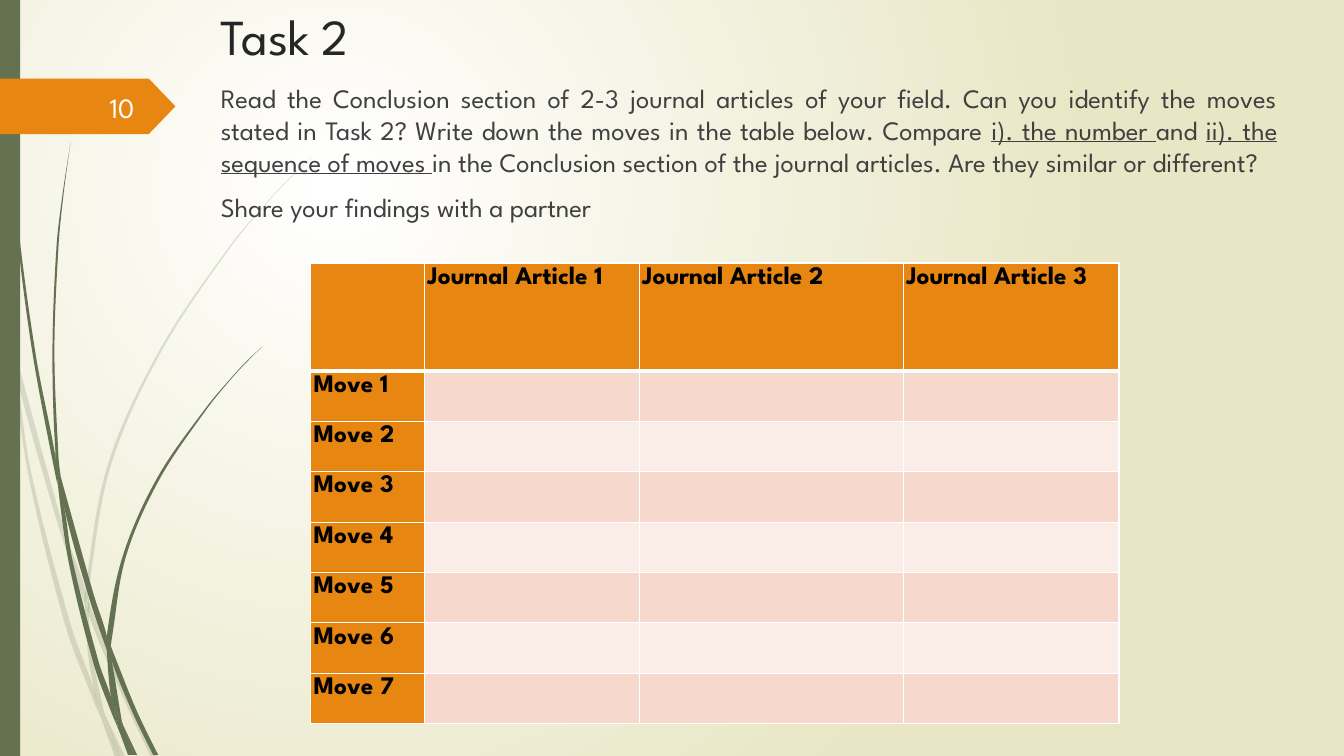
from lxml.etree import SubElement
from pptx import Presentation
from pptx.dml.color import RGBColor
from pptx.enum.shapes import MSO_SHAPE
from pptx.enum.text import MSO_ANCHOR, MSO_AUTO_SIZE, PP_ALIGN
from pptx.oxml import parse_xml
from pptx.oxml.ns import nsdecls, qn
from pptx.util import Inches, Pt

FONT = "League Spartan"
GREEN = RGBColor(0x64, 0x72, 0x52)
ORANGE = RGBColor(0xE7, 0x87, 0x12)
ROSE = RGBColor(0xF6, 0xD9, 0xCC)
BLUSH = RGBColor(0xFA, 0xED, 0xE7)
WHITE = RGBColor(0xFF, 0xFF, 0xFF)
CREAM = RGBColor(0xE8, 0xE6, 0xC4)
PAPER = RGBColor(0xFE, 0xFF, 0xFF)
BLACK = RGBColor(0, 0, 0)
INK = RGBColor(0x26, 0x26, 0x26)
GREY = RGBColor(0x40, 0x40, 0x40)

PALE = [
    (0.11, 3.5, 0.09, 3.22, 0, 2.82, 0, 2.99, 0.1, 3.44),
    (0.58, 5.22, 0.84, 5.99, 0.85, 5.86, 0.62, 5.2, 0.14, 3.45, 0.17, 3.76),
    (0.92, 6.07, 0.88, 5.96, 0.88, 6.1, 1.23, 6.94, 1.5, 7.51, 1.55, 7.51, 1.27, 6.92),
    (1.19, 7.51, 1.24, 7.51, 1.05, 7.11),
    (0.93, 6.83, 0.7, 6.19, 0.31, 4.69, 0.17, 3.76, 0.11, 3.5, 0.28, 4.7, 0.65, 6.21,
     0.92, 6.93, 1.01, 7.14, 0.99, 7.07),
    (0.84, 5.99, 0.87, 6.46, 0.93, 6.83, 0.96, 6.92, 1.05, 7.11, 1.03, 7.06, 0.91, 6.46,
     0.88, 6.1, 0.88, 6.08),
    (0.88, 5.84, 1.1, 4.62, 1.6, 3.49, 2.29, 2.45, 2.68, 1.98, 2.9, 1.75, 3.12, 1.53,
     2.89, 1.75, 2.68, 1.97, 2.28, 2.44, 1.58, 3.48, 1.07, 4.61, 0.85, 5.84, 0.88, 5.96),
    (1.01, 7.14, 1.14, 7.51, 1.19, 7.51),
    (0.88, 6.08, 0.88, 5.96, 0.85, 5.86, 0.84, 5.99),
    (0.96, 6.92, 0.93, 6.83, 0.99, 7.07, 1.01, 7.14, 1.19, 7.51, 1.05, 7.11),
]
DARK = [
    (0.07, 1.1, 0.17, 2.33, 0.33, 3.55, 0.57, 4.81, 0.55, 4.53, 0.36, 3.55, 0.19, 2.32,
     0.08, 1.09, 0.05, 0.48, 0.04, 0, 0.03, 0, 0.04, 0.48),
    (0.88, 5.92, 1.06, 6.45, 1.06, 6.31, 0.93, 5.9, 0.6, 4.72, 0.64, 5.05),
    (1.13, 6.49, 1.1, 6.41, 1.11, 6.56, 1.32, 7.08, 1.52, 7.49, 1.57, 7.49, 1.36, 7.06),
    (1.1, 6.91, 0.98, 6.57, 0.72, 5.56, 0.64, 5.05, 0.57, 4.77, 0.68, 5.57, 0.93, 6.59,
     1.11, 7.08, 1.17, 7.22, 1.16, 7.17),
    (0.6, 4.72, 0.58, 4.53, 0.54, 3.49, 0.58, 2.45, 0.63, 1.93, 0.7, 1.41, 0.62, 1.93,
     0.56, 2.45, 0.52, 3.49, 0.55, 4.49),
    (1.33, 7.49, 1.36, 7.49, 1.22, 7.19),
    (0.57, 4.77, 0.64, 5.05, 0.6, 4.72, 0.55, 4.49, 0.55, 4.53),
    (1.11, 6.33, 1.25, 5.52, 1.58, 4.76, 2.05, 4.06, 2.31, 3.74, 2.45, 3.59, 2.6, 3.44,
     2.45, 3.58, 2.31, 3.73, 2.04, 4.05, 1.56, 4.74, 1.22, 5.51, 1.06, 6.31, 1.1, 6.41),
    (1.17, 7.22, 1.27, 7.49, 1.31, 7.49),
    (1.06, 6.45, 1.1, 6.91, 1.16, 7.06, 1.22, 7.19, 1.21, 7.16, 1.11, 6.56, 1.09, 6.51),
    (1.06, 6.45, 1.11, 6.56, 1.1, 6.41, 1.06, 6.31),
    (1.16, 7.06, 1.1, 6.91, 1.16, 7.17, 1.17, 7.22, 1.3, 7.49, 1.33, 7.49, 1.22, 7.19),
]
TASK = [
    [("Read the Conclusion section of 2-3 journal articles of your field. Can you identify "
      "the moves stated in Task 2? Write down the moves in the table below. Compare ", False),
     ("i). the number ", True), ("and ", False), ("ii). the sequence of moves ", True),
     ("in the Conclusion section of the journal articles. Are they similar or different? ", False)],
    [("Share your findings with a partner", False)],
]


def place(shape, box):
    """Move a shape to a box given in inches."""
    shape.left, shape.top, shape.width, shape.height = map(Inches, box)


def style(font, size, color, bold=False):
    """Set the face, size, colour and weight of a font."""
    font.name, font.size, font.bold = FONT, Pt(size), bold
    font.color.rgb = color


def paint(shape, color):
    """Give a shape a flat fill with no line or shadow."""
    shape.fill.solid()
    shape.fill.fore_color.rgb = color
    shape.line.fill.background()
    shape.shadow.inherit = False


def lean(a, b, c):
    """Return the direction of the outline at b, or zero at a sharp corner."""
    turn = (b - a).conjugate() * (c - b)
    return (c - a) / abs(c - a) if turn.real > 0.7 * abs(turn) else 0


def bend(knots):
    """Return the knots of a closed outline with two handles in each gap."""
    ring = [knots[-1], *knots, *knots[:2]]
    curve = [knots[0]]
    for a, b, c, d in zip(ring, ring[1:], ring[2:], ring[3:]):
        reach = abs(c - b) / 3
        curve += [b + lean(a, b, c) * reach, c - lean(b, c, d) * reach, c]
    return curve


def add_grass(slide, blades, alpha=100):
    """Draw a group of curved blades of grass."""
    group = slide.shapes.add_group_shape()
    for nums in blades:
        curve = bend([complex(x, y) for x, y in zip(nums[::2], nums[1::2])])
        dots = [(Inches(dot.real), Inches(dot.imag)) for dot in curve]
        form = group.shapes.build_freeform(*dots[0], scale=1)
        form.add_line_segments(dots[1:], close=True)
        blade = form.convert_to_shape()
        paint(blade, GREEN)
        trace = blade._element.find(".//" + qn("a:path"))
        lines = trace.findall(qn("a:lnTo"))
        for trio in zip(lines[::3], lines[1::3], lines[2::3]):
            cubic = SubElement(trace, qn("a:cubicBezTo"))
            for line in trio:
                cubic.append(line[0])
                trace.remove(line)
        trace.append(trace.find(qn("a:close")))
        if alpha < 100:
            color = blade.fill._xPr.find(qn("a:solidFill"))[0]
            SubElement(color, qn("a:alpha"), val=str(alpha * 1000))


def add_back(slide):
    """Fill the slide with a glow centred in its upper left quarter."""
    fill = slide.background.fill
    fill.gradient()
    for stop, color in zip(fill.gradient_stops, (WHITE, CREAM)):
        stop.color.rgb = color
    grad = slide.background._cSld.find(".//" + qn("a:gradFill"))
    grad.replace(grad.find(qn("a:lin")), parse_xml(
        f'<a:path {nsdecls("a")} path="circle">'
        '<a:fillToRect l="50000" t="50000" r="100000" b="100000"/></a:path>'))


def add_side(slide, box):
    """Draw the side bar and the arrow tag with the slide number."""
    left, top, width, height = box
    bar = slide.shapes.add_shape(MSO_SHAPE.RECTANGLE, *map(Inches, box))
    paint(bar, GREEN)
    tag = slide.shapes.add_shape(MSO_SHAPE.PENTAGON, 0, 0, 0, 0)
    place(tag, (left, top + 0.78, 1.74, 0.55))
    tag.adjustments[0] = 0.48
    paint(tag, ORANGE)
    label = slide.shapes.add_textbox(0, 0, 0, 0)
    place(label, (left + 0.58, top + 0.86, 0.85, 0.4))
    frame = label.text_frame
    frame.word_wrap = True
    frame.vertical_anchor = MSO_ANCHOR.MIDDLE
    frame.text = "10"
    frame.paragraphs[0].alignment = PP_ALIGN.RIGHT
    style(frame.paragraphs[0].runs[0].font, 20, PAPER)


def add_text(slide, box):
    """Fill the title and the task in the box."""
    left, top, width, height = box
    title, body = slide.placeholders
    place(title, (left, top, 9.75, 0.89))
    place(body, (left, top + 0.76, width, height - 0.76))
    for holder in (title, body):
        holder.text_frame.auto_size = MSO_AUTO_SIZE.NONE
        holder.text_frame.vertical_anchor = MSO_ANCHOR.TOP
    title.text_frame.text = "Task 2"
    head = title.text_frame.paragraphs[0]
    head.alignment = PP_ALIGN.LEFT
    style(head.runs[0].font, 36, INK)
    frame = body.text_frame
    for index, parts in enumerate(TASK):
        para = frame.add_paragraph() if index else frame.paragraphs[0]
        props = para._p.get_or_add_pPr()
        props.set("marL", "0")
        props.set("indent", "0")
        SubElement(props, qn("a:buNone"))
        para.alignment = PP_ALIGN.JUSTIFY
        para.space_before = Pt(10 if index else 0)
        for text, under in parts:
            run = para.add_run()
            run.text = text
            style(run.font, 19, GREY)
            run.font.underline = under


def set_edges(cell, row):
    """Give a cell white borders, thick under the header row."""
    props = cell._tc.get_or_add_tcPr()
    widths = {"L": 1, "R": 1, "T": 3 if row == 1 else 1, "B": 1 if row else 3}
    for index, (side, width) in enumerate(widths.items()):
        props.insert(index, parse_xml(
            f'<a:ln{side} {nsdecls("a")} w="{Pt(width)}"><a:solidFill>'
            f'<a:srgbClr val="{WHITE}"/></a:solidFill></a:ln{side}>'))


def add_moves(slide, box):
    """Add the table of moves by journal article."""
    table = slide.shapes.add_table(8, 4, *map(Inches, box)).table
    table.first_row = table.horz_banding = False
    for col, width in zip(table.columns, (1.13, 2.13, 2.62, 2.14)):
        col.width = Inches(width)
    for row, line in enumerate(table.rows):
        line.height = Inches(0.5 if row else 1.07)
        for col, cell in enumerate(line.cells):
            cell.fill.solid()
            band = ROSE if row % 2 else BLUSH
            cell.fill.fore_color.rgb = band if row and col else ORANGE
            set_edges(cell, row)
            if bool(row) != bool(col):
                cell.margin_left = cell.margin_right = Inches(0.03)
                cell.margin_top = cell.margin_bottom = 0
                para = cell.text_frame.paragraphs[0]
                para.text = f"Move {row}" if row else f"Journal Article {col}"
                para.alignment = PP_ALIGN.JUSTIFY
                para.line_spacing = 1.15
                style(para.runs[0].font, 18, BLACK, True)


def main():
    """Build and save the slide."""
    deck = Presentation()
    deck.slide_width, deck.slide_height = Inches(13.33), Inches(7.5)
    slide = deck.slides.add_slide(deck.slide_layouts[1])
    add_back(slide)
    add_grass(slide, PALE, 20)
    add_grass(slide, DARK)
    add_side(slide, (0, 0, 0.2, 7.5))
    add_text(slide, (2.09, 0, 10.68, 3.07))
    add_moves(slide, (3.08, 2.61, 8.02, 4.57))
    deck.save("out.pptx")


if __name__ == "__main__":
    main()
